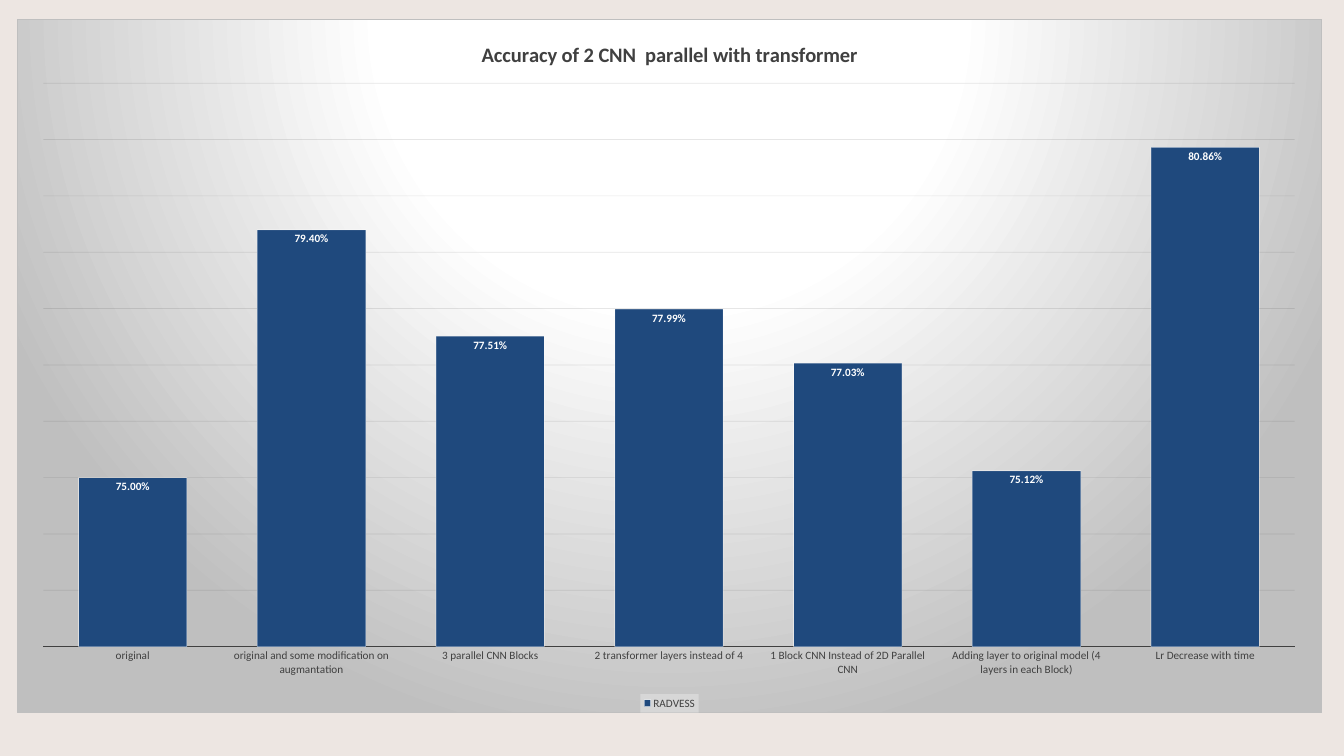
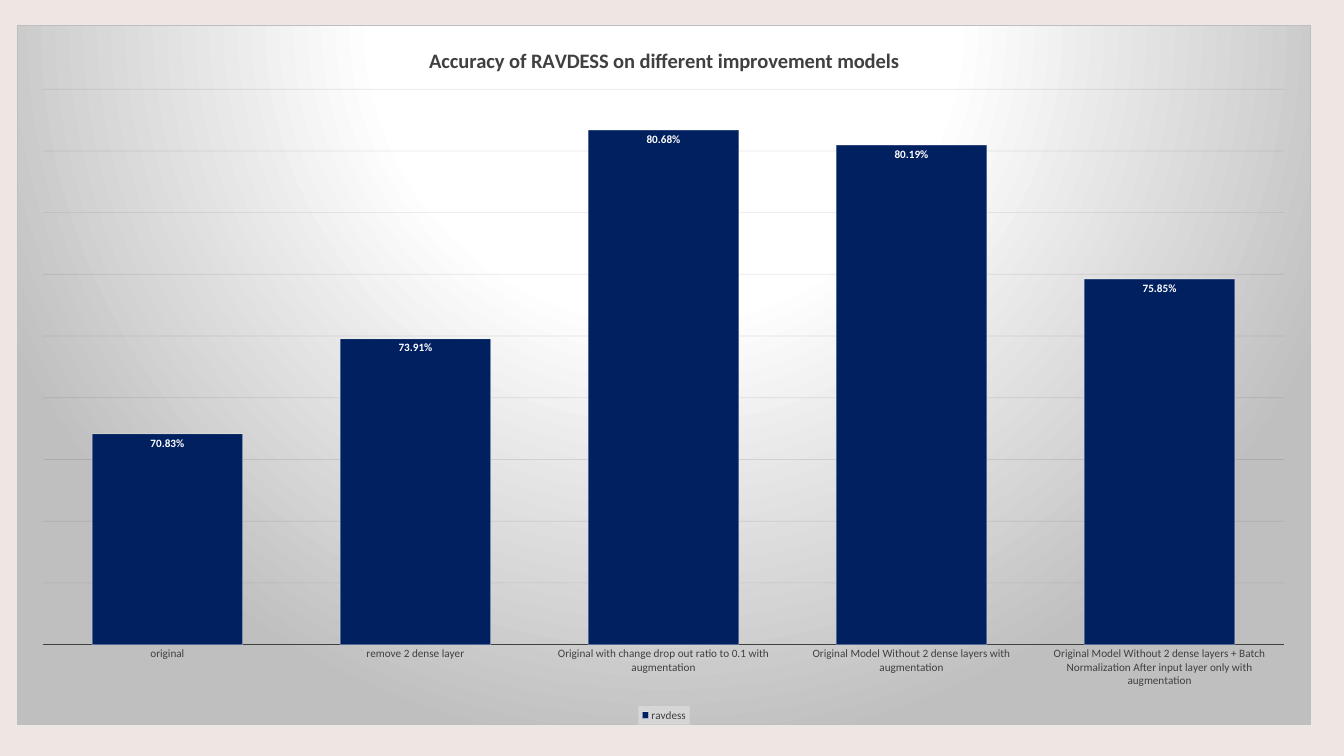
from lxml import etree
from pptx import Presentation
from pptx import util as u
from pptx.chart.data import CategoryChartData
from pptx.dml.color import RGBColor
from pptx.enum import chart as ch
from pptx.oxml import parse_xml
from pptx.oxml.ns import nsdecls, qn

PX = 914400 / 67.2
FONT = "Calibri"
PERCENT = "0.00%"

BACKDROP = RGBColor(0xED, 0xE6, 0xE2)
GREY_TEXT = RGBColor(0x40, 0x40, 0x40)
GRID = RGBColor(0x0D, 0x0D, 0x0D)
WHITE = RGBColor(0xFF, 0xFF, 0xFF)
SILVER = RGBColor(0xBF, 0xBF, 0xBF)
LEGEND_FILL = RGBColor(0xF2, 0xF2, 0xF2)
BLUE = RGBColor(0x1F, 0x49, 0x7D)
NAVY = RGBColor(0x00, 0x20, 0x60)

# box and plot are left, top, width, height in px; scale is min, max, unit
CHARTS = [
    dict(title="Accuracy of 2 CNN  parallel with transformer",
         series="RADVESS", color=BLUE, box=(17, 19, 1305, 694),
         plot=(43, 83, 1252, 564), scale=(0.72, 0.82, 0.01),
         accuracy={
             "original": 0.75,
             "original and some modification on augmantation": 0.794,
             "3 parallel CNN Blocks": 0.7751,
             "2 transformer layers instead of 4": 0.7799,
             "1 Block CNN Instead of 2D Parallel CNN": 0.7703,
             "Adding layer to original model (4 layers in each Block)": 0.7512,
             "Lr Decrease with time": 0.8086}),
    dict(title="Accuracy of RAVDESS on different improvement models",
         series="ravdess", color=NAVY, box=(17, 25, 1294, 700),
         plot=(43, 89, 1241, 556), scale=(0.64, 0.82, 0.02),
         accuracy={
             "original": 0.7083,
             "remove 2 dense layer": 0.7391,
             "Original with change drop out ratio to 0.1 with augmentation": 0.8068,
             "Original Model Without 2 dense layers with augmentation": 0.8019,
             "Original Model Without 2 dense layers + Batch Normalization "
             "After input layer only with augmentation": 0.7585}),
]


def px(n):
    return u.Emu(round(n * PX))


def set_attrs(obj, **values):
    for name, value in values.items():
        setattr(obj, name, value)


def set_font(font, size, color, bold=False):
    set_attrs(font, name=FONT, size=u.Pt(size), bold=bold)
    font.color.rgb = color


def set_line(line, color, width):
    line.color.rgb = color
    line.width = u.Pt(width)


def fade_line(element, percent):
    for clr in element.iterfind(f"{qn('c:spPr')}/{qn('a:ln')}//{qn('a:srgbClr')}"):
        etree.SubElement(clr, qn("a:alpha")).set("val", str(percent * 1000))


def shape_props(body):
    return parse_xml(f'<c:spPr {nsdecls("c", "a")}>{body}</c:spPr>')


def add_backdrop(chart):
    """Radial gradient and thin border of the whole chart."""
    stops = "".join(f'<a:gs pos="{pos * 1000}"><a:srgbClr val="{color}"/></a:gs>'
                    for pos, color in ((0, WHITE), (39, WHITE), (100, SILVER)))
    chart._chartSpace.find(qn("c:chart")).addnext(shape_props(
        f'<a:gradFill><a:gsLst>{stops}</a:gsLst><a:path path="circle">'
        '<a:fillToRect l="50000" t="-80000" r="50000" b="180000"/></a:path></a:gradFill>'
        f'<a:ln w="9525"><a:solidFill><a:srgbClr val="{SILVER}"/></a:solidFill></a:ln>'))


def place_plot(chart, box, plot):
    """Fix the inner plot area inside the chart box."""
    left, top, width, height = box
    x, y, w, h = plot
    shares = dict(x=(x - left) / width, y=(y - top) / height, w=w / width, h=h / height)
    modes = '<c:xMode val="edge"/><c:yMode val="edge"/>'
    values = "".join(f'<c:{key} val="{share:.4f}"/>' for key, share in shares.items())
    area = chart._chartSpace.find(f"{qn('c:chart')}/{qn('c:plotArea')}")
    for old in area.findall(qn("c:layout")):
        area.remove(old)
    area.insert(0, parse_xml(
        f'<c:layout {nsdecls("c")}><c:manualLayout><c:layoutTarget val="inner"/>'
        f'{modes}{values}</c:manualLayout></c:layout>'))


def format_title(chart, title):
    tf = chart.chart_title.text_frame
    tf.text = title
    set_font(tf.paragraphs[0].runs[0].font, 22, GREY_TEXT, bold=True)
    chart.chart_title.include_in_layout = False


def format_axes(chart, scale):
    cat, val = chart.category_axis, chart.value_axis
    set_attrs(cat, major_tick_mark=ch.XL_TICK_MARK.NONE, has_major_gridlines=False)
    set_font(cat.tick_labels.font, 12, GREY_TEXT)
    set_line(cat.format.line, GREY_TEXT, 1.5)
    low, high, unit = scale
    set_attrs(val, visible=False, has_major_gridlines=True,
              minimum_scale=low, maximum_scale=high, major_unit=unit)
    set_line(val.major_gridlines.format.line, GRID, 0.75)
    fade_line(val._element.find(qn("c:majorGridlines")), 10)


def format_bars(chart, color):
    plot = chart.plots[0]
    set_attrs(plot, gap_width=65, vary_by_categories=False, has_data_labels=True)
    bars = plot.series[0]
    bars.format.fill.solid()
    bars.format.fill.fore_color.rgb = color
    set_line(bars.format.line, WHITE, 0.75)
    fade_line(bars._element, 50)
    labels = plot.data_labels
    set_attrs(labels, show_value=True, number_format=PERCENT,
              number_format_is_linked=False,
              position=ch.XL_LABEL_POSITION.INSIDE_END)
    set_font(labels.font, 12, WHITE, bold=True)


def format_legend(chart):
    chart.has_legend = True
    legend = chart.legend
    set_attrs(legend, position=ch.XL_LEGEND_POSITION.BOTTOM, include_in_layout=False)
    set_font(legend.font, 12, GREY_TEXT)
    legend._element.find(qn("c:txPr")).addprevious(shape_props(
        f'<a:solidFill><a:srgbClr val="{LEGEND_FILL}"><a:alpha val="39000"/>'
        '</a:srgbClr></a:solidFill>'))


def add_accuracy_chart(s, title, series, color, box, plot, scale, accuracy):
    data = CategoryChartData(number_format=PERCENT)
    data.categories = list(accuracy)
    data.add_series(series, list(accuracy.values()))
    chart = s.shapes.add_chart(ch.XL_CHART_TYPE.COLUMN_CLUSTERED,
                               *map(px, box), data).chart
    set_attrs(chart.font, name=FONT, size=u.Pt(10))
    format_title(chart, title)
    format_axes(chart, scale)
    format_bars(chart, color)
    format_legend(chart)
    place_plot(chart, box, plot)
    add_backdrop(chart)


def main():
    prs = Presentation()
    set_attrs(prs, slide_width=px(1344), slide_height=px(756))

    # Shared background
    fill = prs.slide_master.background.fill
    fill.solid()
    fill.fore_color.rgb = BACKDROP

    # One blank slide per chart
    blank = prs.slide_layouts[6]
    for spec_values in CHARTS:
        add_accuracy_chart(prs.slides.add_slide(blank), **spec_values)

    prs.save("out.pptx")


if __name__ == "__main__":
    main()
